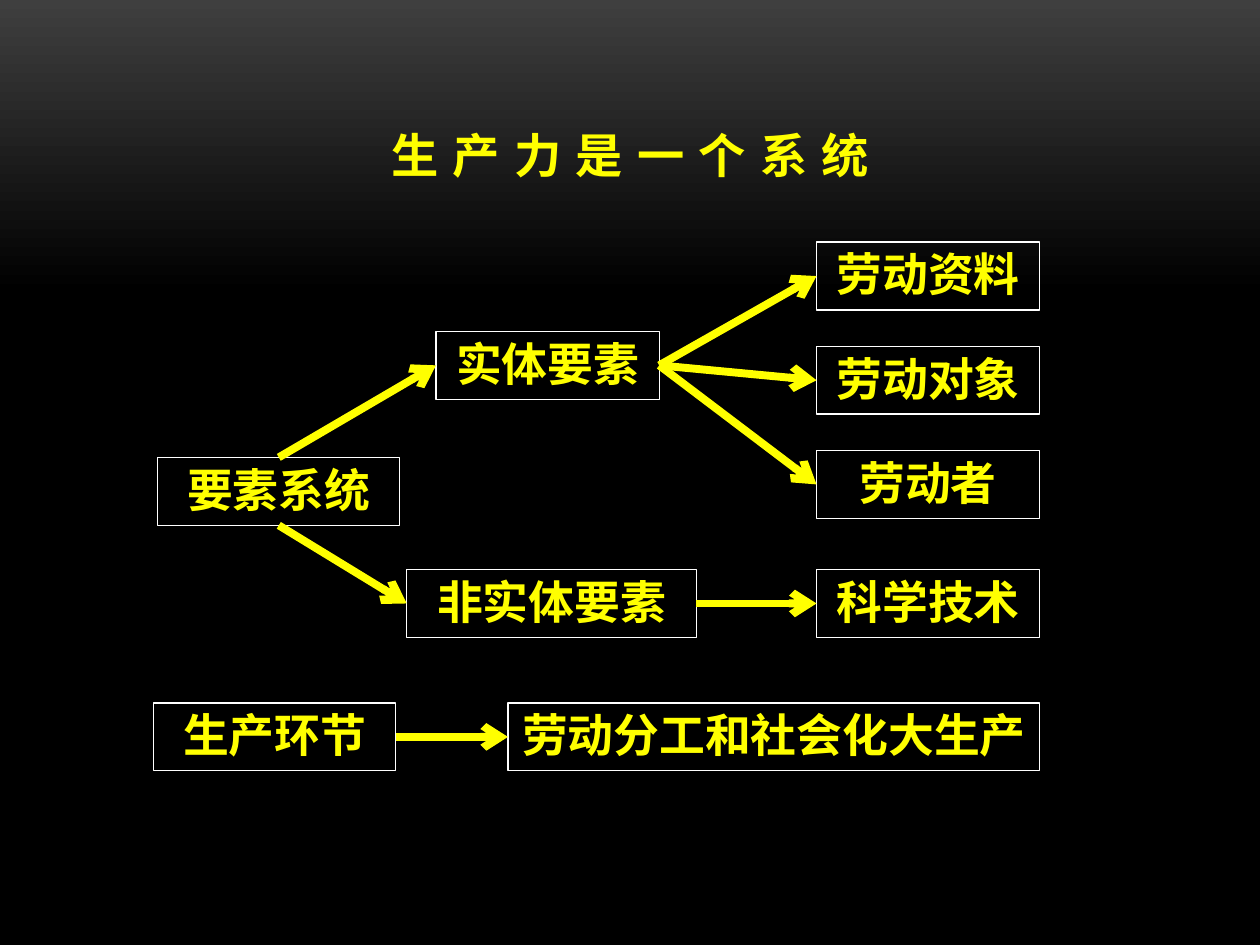
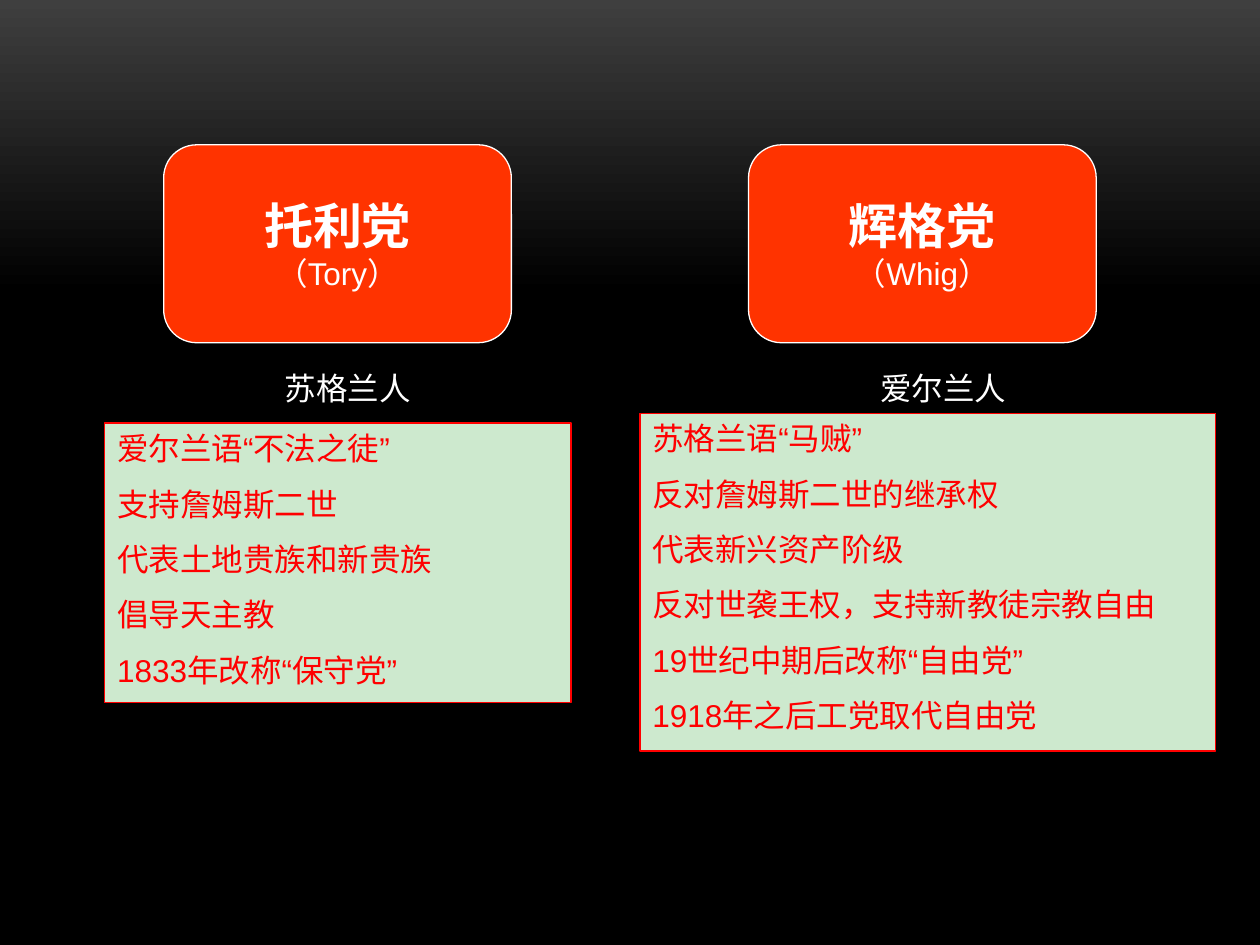
"""Build two slides: the system of productive forces, and the Tory and Whig parties."""
from lxml.etree import SubElement
from pptx import Presentation
from pptx.dml.color import RGBColor
from pptx.enum.shapes import MSO_CONNECTOR as Connector, MSO_SHAPE as Preset
from pptx.enum.text import MSO_ANCHOR as Anchor, PP_ALIGN as Align
from pptx.oxml.ns import qn
from pptx.util import Cm, Pt

BLACK = RGBColor(0x00, 0x00, 0x00)
CHARCOAL = RGBColor(0x3F, 0x3F, 0x3F)
WHITE = RGBColor(0xFF, 0xFF, 0xFF)
YELLOW = RGBColor(0xFF, 0xFF, 0x00)
RED = RGBColor(0xFF, 0x00, 0x00)
ORANGE = RGBColor(0xFF, 0x33, 0x00)
MINT = RGBColor(0xCD, 0xE9, 0xCE)
TITLE_FONT, NODE_FONT, BODY_FONT = "League Spartan", "Noto Sans CJK SC", "Arial"


def add_text(shape, text, size=18, font=BODY_FONT, color=WHITE, bold=False,
             align=Align.LEFT, before=0, spacing=0):
    """Write one formatted paragraph at the end of the shape's text."""
    frame = shape.text_frame
    paragraph = frame.add_paragraph() if frame.text else frame.paragraphs[0]
    paragraph.alignment = align
    paragraph.space_before = Pt(before)
    run = paragraph.add_run()
    run.text = text
    run.font.size, run.font.bold, run.font.name = Pt(size), bold, font
    run.font.color.rgb = color
    properties = run._r.get_or_add_rPr()
    properties.set("spc", str(spacing))
    SubElement(properties, qn("a:ea")).set("typeface", font)


def add_box(slide, preset, left, top, width, height, line, fill=None,
            anchor=Anchor.MIDDLE, wrap=False):
    """Add an outlined shape, filled when a fill colour is given."""
    shape = slide.shapes.add_shape(preset, Cm(left), Cm(top), Cm(width), Cm(height))
    shape.shadow.inherit = False
    shape.line.color.rgb = line
    shape.line.width = Pt(0.75)
    if fill is None:
        shape.fill.background()
    else:
        shape.fill.solid()
        shape.fill.fore_color.rgb = fill
    shape.text_frame.vertical_anchor = anchor
    shape.text_frame.word_wrap = wrap
    return shape


presentation = Presentation()
presentation.slide_width, presentation.slide_height = Cm(25.4), Cm(19.05)
blank_layout = presentation.slide_layouts[6]
system_slide, party_slide = [presentation.slides.add_slide(blank_layout) for _ in range(2)]

for slide in (system_slide, party_slide):
    background = slide.background.fill
    background.gradient()
    background.gradient_angle = 270
    for stop, position, color in zip(background.gradient_stops, (0, 0.31), (CHARCOAL, BLACK)):
        stop.position = position
        stop.color.rgb = color

title = system_slide.shapes.add_textbox(Cm(4.45), Cm(2.64), Cm(16.51), Cm(1.17))
title.text_frame.word_wrap = True
title.text_frame.vertical_anchor = Anchor.BOTTOM
add_text(title, "生 产 力 是 一 个 系 统", size=27, font=TITLE_FONT, color=YELLOW,
         bold=True, align=Align.CENTER, spacing=50)

NODE_HEIGHT = 1.37
node_places = {
    "劳动资料": (16.46, 4.88, 4.5),
    "劳动对象": (16.46, 6.98, 4.5),
    "劳动者": (16.46, 9.08, 4.5),
    "科学技术": (16.46, 11.48, 4.5),
    "实体要素": (8.79, 6.68, 4.5),
    "非实体要素": (8.2, 11.48, 5.84),
    "要素系统": (3.18, 9.22, 4.88),
    "生产环节": (3.1, 14.17, 4.88),
    "劳动分工和社会化大生产": (10.24, 14.17, 10.72),
}
nodes = {}
for label, (left, top, width) in node_places.items():
    node = add_box(system_slide, Preset.RECTANGLE, left, top, width, NODE_HEIGHT, WHITE)
    node.text_frame.margin_top, node.text_frame.margin_bottom = 0, Cm(0.1)
    add_text(node, label, size=26.2, font=NODE_FONT, color=YELLOW, bold=True,
             align=Align.CENTER)
    nodes[label] = node

TOP, LEFT, BOTTOM, RIGHT = range(4)
arrows = [
    ("实体要素", RIGHT, "劳动资料"),
    ("实体要素", RIGHT, "劳动对象"),
    ("实体要素", RIGHT, "劳动者"),
    ("非实体要素", RIGHT, "科学技术"),
    ("要素系统", TOP, "实体要素"),
    ("要素系统", BOTTOM, "非实体要素"),
    ("生产环节", RIGHT, "劳动分工和社会化大生产"),
]
for source, side, target in arrows:
    arrow = system_slide.shapes.add_connector(Connector.STRAIGHT, 0, 0, 0, 0)
    arrow.begin_connect(nodes[source], side)
    arrow.end_connect(nodes[target], LEFT)
    arrow.line.color.rgb = YELLOW
    arrow.line.width = Pt(4.5)
    SubElement(arrow.line._get_or_add_ln(), qn("a:tailEnd")).set("type", "arrow")
    SubElement(arrow._element.spPr, qn("a:effectLst"))

parties = [
    ("托利党", "（Tory）", 3.3, "苏格兰人", 5.49, (2.11, 8.53, 9.4, 5.64),
     ["爱尔兰语“不法之徒”", "支持詹姆斯二世", "代表土地贵族和新贵族", "倡导天主教",
      "1833年改称“保守党”"]),
    ("辉格党", "（Whig）", 15.09, "爱尔兰人", 17.5, (12.9, 8.33, 11.61, 6.81),
     ["苏格兰语“马贼”", "反对詹姆斯二世的继承权", "代表新兴资产阶级",
      "反对世袭王权，支持新教徒宗教自由", "19世纪中期后改称“自由党”",
      "1918年之后工党取代自由党"]),
]
for name, english, badge_left, origin, origin_left, panel_place, facts in parties:
    badge = add_box(party_slide, Preset.ROUNDED_RECTANGLE, badge_left, 2.92, 7.01, 3.99,
                    WHITE, fill=ORANGE)
    add_text(badge, name, size=28, bold=True, align=Align.CENTER)
    add_text(badge, english, align=Align.CENTER)

    panel = add_box(party_slide, Preset.RECTANGLE, *panel_place, RED, fill=MINT,
                    anchor=Anchor.TOP, wrap=True)
    for fact in facts:
        add_text(panel, fact, color=RED, before=10)

    caption = party_slide.shapes.add_textbox(Cm(origin_left), Cm(7.32), Cm(3.61), Cm(1.02))
    caption.text_frame.word_wrap = True
    add_text(caption, origin, before=10)

presentation.save("out.pptx")
